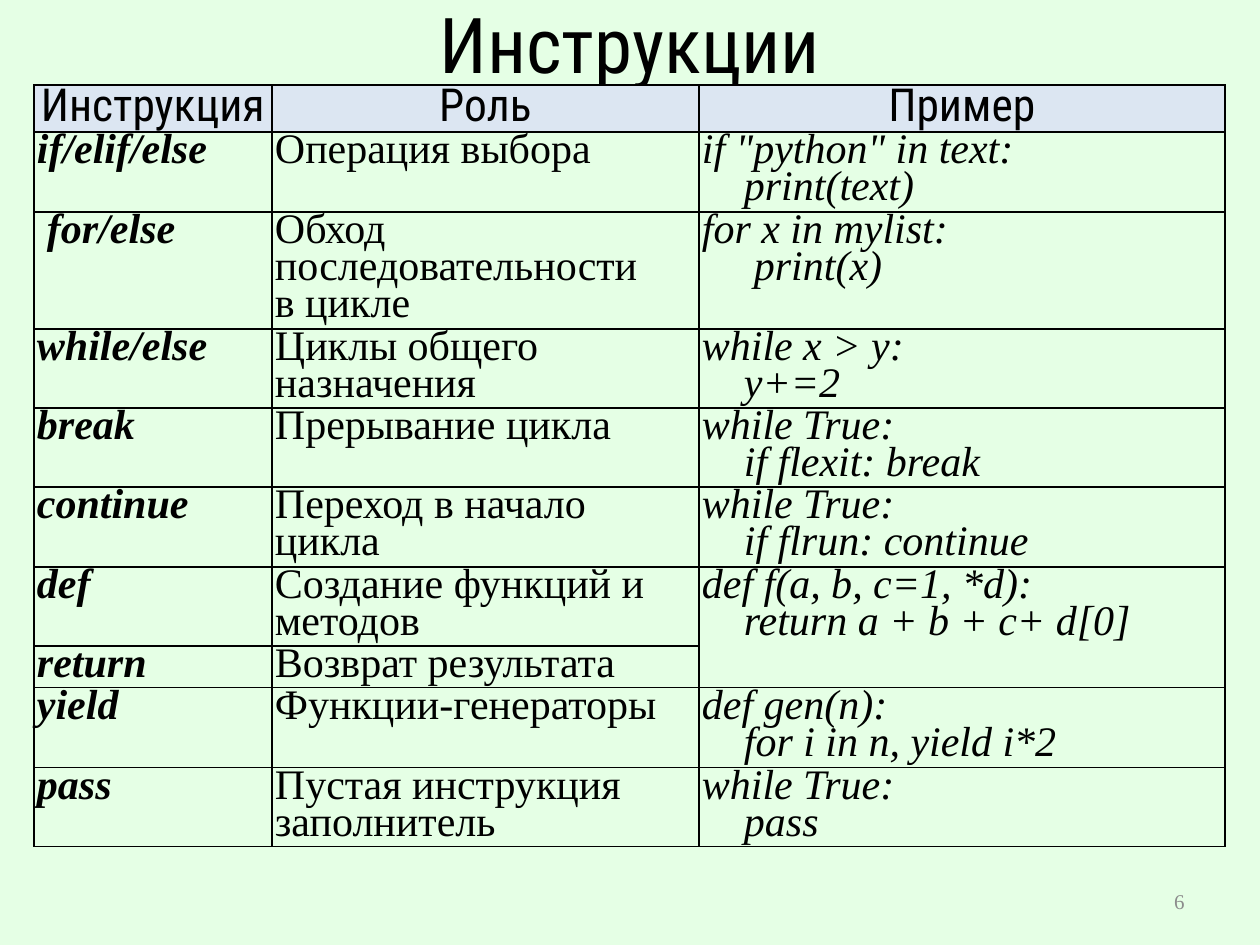
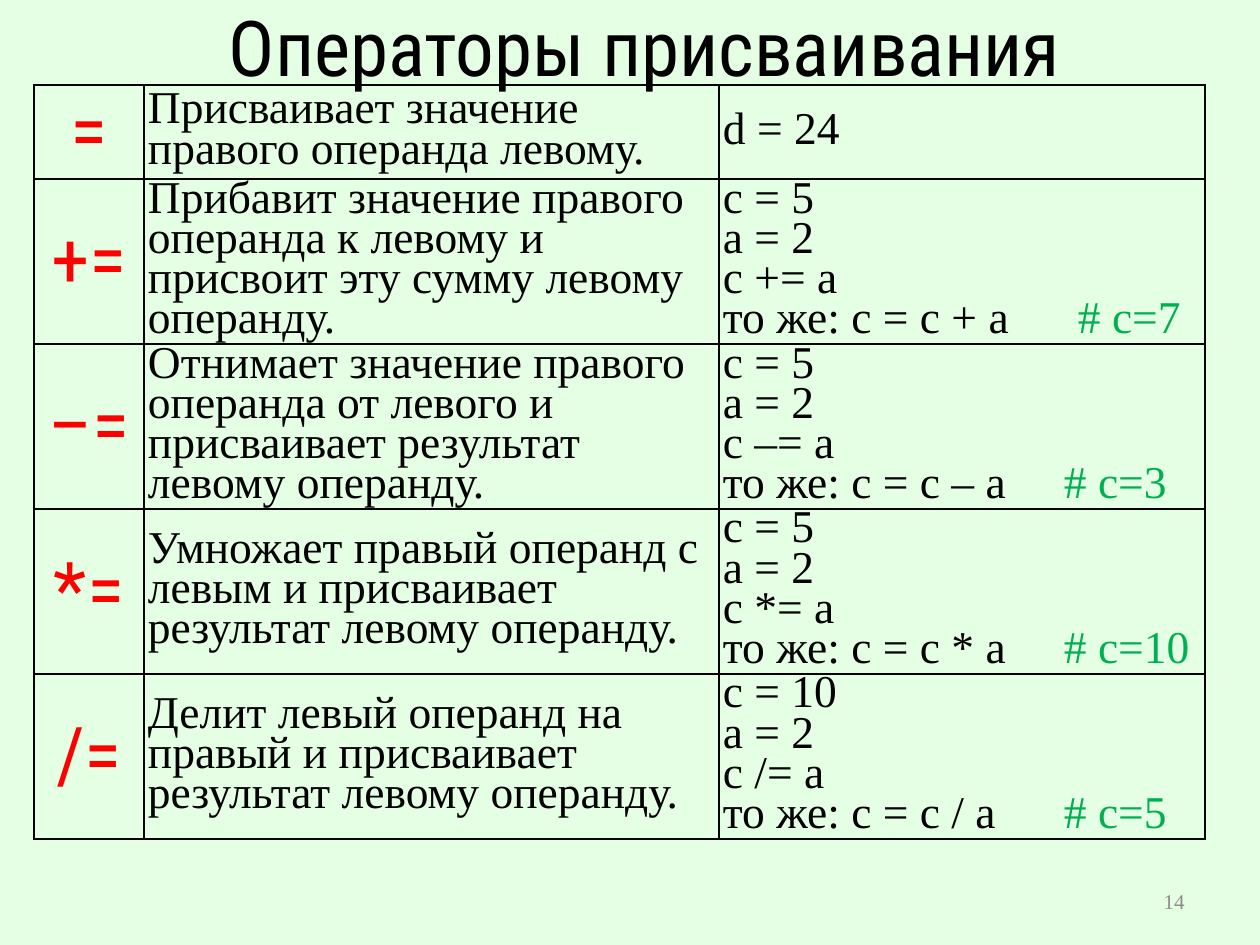
from dataclasses import dataclass
from typing import NamedTuple

import lxml.etree
import pptx
import pptx.dml.color
import pptx.enum.text
import pptx.oxml.ns
import pptx.slide
import pptx.table
import pptx.text.text
import pptx.util

# Shared scale, colours and fonts
PX = 914400 // 126
HEX = {"page": "E5FFE5", "ink": "000000", "head": "DCE6F2",
       "sign": "FF0000", "note": "00B050", "number": "8C8C8C"}
SANS, SERIF = "Roboto Condensed", "Times New Roman"
ALIGN = pptx.enum.text.PP_ALIGN
ANCHOR = pptx.enum.text.MSO_ANCHOR
LEFT, TOP = 34, 85
STEP = 42  # code indent


class Box(NamedTuple):
    x: int
    y: int
    w: int
    h: int


class Line(NamedTuple):
    text: str
    indent: int = 0
    note: str = ""
    tab: int = 0


@dataclass(frozen=True)
class Look:
    font: str
    size: int
    color: str = "ink"
    bold: bool = False
    italic: bool = False
    align: ALIGN = ALIGN.LEFT
    space: float = 1.0


@dataclass(frozen=True)
class Grid:
    cols: list[int]
    rows: list[int]
    looks: list[Look]
    cells: list[list[list[Line]]]
    pad: tuple[int, int]
    anchor: ANCHOR
    head: bool = False


@dataclass(frozen=True)
class Page:
    title: str
    box: Box
    number: int
    grid: Grid


TITLE = Look(SANS, 44, align=ALIGN.CENTER)
NUMBER = Look(SERIF, 12, "number", align=ALIGN.RIGHT)
HEAD = Look(SANS, 26, align=ALIGN.CENTER, space=0.8)
WORD = Look(SERIF, 24, bold=True, italic=True, space=0.8)
ROLE = Look(SERIF, 24, space=0.8)
CODE = Look(SERIF, 24, italic=True, space=0.8)
SIGN = Look(SANS, 44, "sign", align=ALIGN.CENTER)
TEXT = Look(SERIF, 26, space=0.8)


def px(n: int) -> pptx.util.Emu:
    return pptx.util.Emu(n * PX)


def rgb(name: str) -> pptx.dml.color.RGBColor:
    return pptx.dml.color.RGBColor.from_string(HEX[name])


def place(shape, box: Box) -> None:
    shape.left, shape.top, shape.width, shape.height = map(px, box)


def add_run(para: pptx.text.text._Paragraph, text: str, look: Look,
            color: str = "") -> None:
    run = para.add_run()
    run.text = text
    font = run.font
    font.name, font.size = look.font, pptx.util.Pt(look.size)
    font.bold, font.italic = look.bold, look.italic
    font.color.rgb = rgb(color or look.color)


def write(frame: pptx.text.text.TextFrame, lines: list[Line],
          look: Look) -> None:
    for i, line in enumerate(lines):
        para = frame.add_paragraph() if i else frame.paragraphs[0]
        para.alignment, para.line_spacing = look.align, look.space
        props = para._p.get_or_add_pPr()
        if line.indent:
            props.set("marL", str(px(line.indent)))
        add_run(para, line.text, look)
        if line.note:
            stops = sub(props, "a:tabLst")
            sub(stops, "a:tab", pos=str(px(line.tab)), algn="l")
            add_run(para, "\t" + line.note, look, "note")


def sub(node, tag: str, **attrs: str):
    return lxml.etree.SubElement(node, pptx.oxml.ns.qn(tag), attrs)


def frame_cell(cell: pptx.table._Cell) -> None:
    props = cell._tc.get_or_add_tcPr()
    for side in "LRTB":
        edge = sub(props, f"a:ln{side}", w=str(pptx.util.Pt(1)))
        sub(sub(edge, "a:solidFill"), "a:srgbClr", val=HEX["ink"])


def add_grid(slide: pptx.slide.Slide, grid: Grid) -> pptx.table.Table:
    box = Box(LEFT, TOP, sum(grid.cols), sum(grid.rows))
    table = slide.shapes.add_table(
        len(grid.rows), len(grid.cols), *map(px, box)).table
    table.first_row = table.horz_banding = False
    for col, wide in zip(table.columns, grid.cols):
        col.width = px(wide)
    for row, high in zip(table.rows, grid.rows):
        row.height = px(high)
    for r, row in enumerate(grid.cells):
        top = grid.head and r == 0
        for c, lines in enumerate(row):
            cell = table.cell(r, c)
            cell.margin_left = cell.margin_right = px(grid.pad[0])
            cell.margin_top = cell.margin_bottom = px(grid.pad[1])
            cell.vertical_anchor = grid.anchor
            frame_cell(cell)
            if top:
                cell.fill.solid()
                cell.fill.fore_color.rgb = rgb("head")
            else:
                cell.fill.background()
            write(cell.text_frame, lines, HEAD if top else grid.looks[c])
    # An empty cell joins the one above it
    for r, row in enumerate(grid.cells):
        for c, lines in enumerate(row):
            if not lines:
                table.cell(r - 1, c).merge(table.cell(r, c))
    return table


def add_page(deck, page: Page) -> None:
    slide = deck.slides.add_slide(deck.slide_layouts[5])
    title = slide.shapes.title
    place(title, page.box)
    number = slide.shapes.add_textbox(*map(px, Box(903, 876, 294, 50)))
    for shape, text, look in ((title, page.title, TITLE),
                              (number, str(page.number), NUMBER)):
        frame = shape.text_frame
        frame.word_wrap = True
        frame.auto_size = pptx.enum.text.MSO_AUTO_SIZE.NONE
        frame.vertical_anchor = ANCHOR.MIDDLE
        write(frame, [Line(text)], look)
    add_grid(slide, page.grid)


# Statements: word, role, code lines
def state(word: str, role: str, *code: str, shift: int = 0,
          step: int = STEP) -> list[list[Line]]:
    lines = [Line(text, step if i else 0) for i, text in enumerate(code)]
    return [[Line(word, shift)], [Line(t) for t in role.split("\n")], lines]


STATES = [
    state("Инструкция", "Роль", "Пример"),
    state("if/elif/else", "Операция выбора",
          'if "python" in text:', "print(text)"),
    state("for/else", "Обход последовательности\nв цикле",
          "for x in mylist:", "print(x)", shift=10, step=52),
    state("while/else", "Циклы общего назначения", "while x > y:", "y+=2"),
    state("break", "Прерывание цикла", "while True:", "if flexit: break"),
    state("continue", "Переход в начало цикла",
          "while True:", "if flrun: continue"),
    state("def", "Создание функций и методов",
          "def f(a, b, c=1, *d):", "return a + b + c+ d[0]"),
    state("return", "Возврат результата"),
    state("yield", "Функции-генераторы",
          "def gen(n):", "for i in n, yield i*2"),
    state("pass", "Пустая инструкция заполнитель", "while True:", "pass"),
]


# Assignments: sign, meaning, worked example
def assign(sign: str, text: str, start: int, note: str,
           tab: int) -> list[list[Line]]:
    code = [Line(f"с = {start}"), Line("а = 2"), Line(f"с {sign}= а"),
            Line(f"то же: с = с {sign} а", note=note, tab=tab)]
    return [[Line(sign + "=")], [Line(text)], code]


ASSIGNS = [
    [[Line("=")], [Line("Присваивает значение правого операнда левому.")],
     [Line("d = 24")]],
    assign("+", "Прибавит значение правого операнда к левому и присвоит "
           "эту сумму левому операнду.", 5, "# с=7", 355),
    assign("–", "Отнимает значение правого операнда от левого и "
           "присваивает результат левому операнду.", 5, "# с=3", 341),
    assign("*", "Умножает правый операнд с левым и присваивает "
           "результат левому операнду.", 5, "# c=10", 341),
    assign("/", "Делит левый операнд на правый и присваивает "
           "результат левому операнду.", 10, "# c=5", 341),
]

PAGES = [
    Page("Инструкции", Box(15, 0, 1230, 85), 6,
         Grid([238, 427, 526], [47, 80, 117, 79, 79, 80, 79, 42, 80, 79],
              [WORD, ROLE, CODE], STATES, (3, 2), ANCHOR.TOP, head=True)),
    Page("Операторы присваивания", Box(30, 3, 1230, 85), 14,
         Grid([110, 575, 486], [94] + [165] * 4,
              [SIGN, TEXT, TEXT], ASSIGNS, (4, 1), ANCHOR.MIDDLE)),
]


def main() -> None:
    deck = pptx.Presentation()
    deck.slide_width, deck.slide_height = px(1260), px(945)
    back = deck.slide_master.background.fill
    back.solid()
    back.fore_color.rgb = rgb("page")
    for page in PAGES:
        add_page(deck, page)
    deck.save("out.pptx")


if __name__ == "__main__":
    main()
